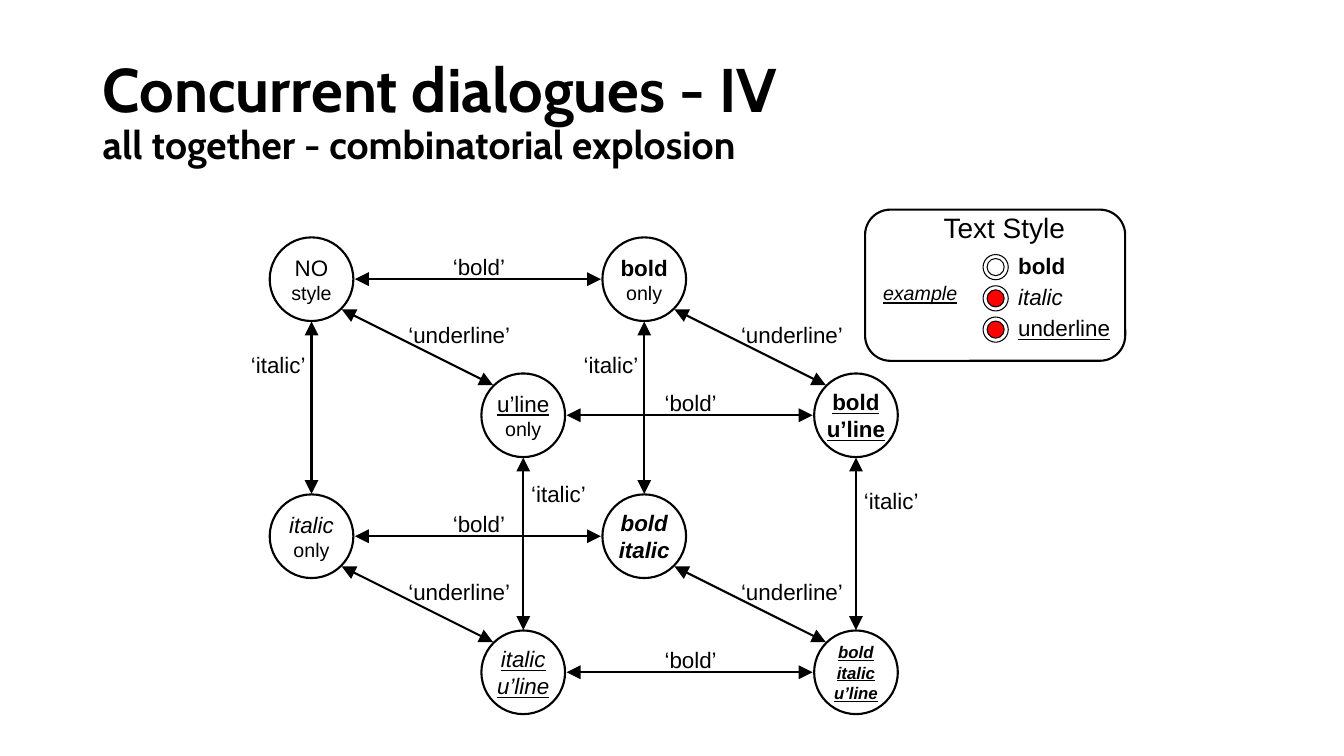
from itertools import product

from lxml.etree import SubElement
from pptx import Presentation
from pptx.dml.color import RGBColor
from pptx.enum.shapes import MSO_CONNECTOR, MSO_SHAPE
from pptx.enum.text import MSO_ANCHOR, MSO_AUTO_SIZE, PP_ALIGN
from pptx.oxml.ns import qn
from pptx.util import Inches, Pt

BLACK, WHITE, RED = "000000", "FFFFFF", "FF0000"


def color(value):
    return RGBColor.from_string(value)


def add_span(para, text, size=16, font="Arial", bold=False, italic=False, underline=False):
    span = para.add_run()
    span.text = text
    span.font.name = font
    span.font.size = Pt(size)
    span.font.bold = bold
    span.font.italic = italic
    span.font.underline = underline
    span.font.color.rgb = color(BLACK)


class Diagram:
    def __init__(self, page, ink=BLACK, weight=1.5):
        self.page = page
        self.ink = ink
        self.weight = weight

    def title(self, heading, subheading):
        box = self.page.shapes.add_textbox(Inches(0.92), Inches(0.4), Inches(11.5), Inches(1.45))
        frame = box.text_frame
        frame.word_wrap = True
        frame.vertical_anchor = MSO_ANCHOR.MIDDLE
        para = frame.paragraphs[0]
        para.line_spacing = 0.9
        add_span(para, heading, size=44, font="Cabin", bold=True)
        para.add_line_break()
        add_span(para, subheading, size=28, font="Cabin", bold=True)

    def label(self, text, left, top, width, height=0.37, align=PP_ALIGN.LEFT, **style):
        box = self.page.shapes.add_textbox(
            Inches(left), Inches(top), Inches(width), Inches(height))
        frame = box.text_frame
        frame.word_wrap = False
        frame.auto_size = MSO_AUTO_SIZE.SHAPE_TO_FIT_TEXT
        para = frame.paragraphs[0]
        para.alignment = align
        add_span(para, text, **style)

    def shape(self, kind, left, top, width, height, fill=WHITE, weight=None):
        shape = self.page.shapes.add_shape(
            kind, Inches(left), Inches(top), Inches(width), Inches(height))
        shape.shadow.inherit = False
        shape.fill.solid()
        shape.fill.fore_color.rgb = color(fill)
        shape.line.color.rgb = color(self.ink)
        shape.line.width = Pt(weight or self.weight)
        return shape

    def circle(self, x, y, diameter, **look):
        return self.shape(MSO_SHAPE.OVAL, x - diameter / 2, y - diameter / 2,
                          diameter, diameter, **look)

    def state(self, x, y, lines):
        frame = self.circle(x, y, 0.83).text_frame
        frame.word_wrap = False
        frame.vertical_anchor = MSO_ANCHOR.MIDDLE
        for index, (text, style) in enumerate(lines):
            para = frame.add_paragraph() if index else frame.paragraphs[0]
            para.alignment = PP_ALIGN.CENTER
            add_span(para, text, **style)

    def arrow(self, x1, y1, x2, y2):
        arrow = self.page.shapes.add_connector(
            MSO_CONNECTOR.STRAIGHT, Inches(x1), Inches(y1), Inches(x2), Inches(y2))
        arrow.line.color.rgb = color(self.ink)
        arrow.line.width = Pt(self.weight)
        for end in ("a:headEnd", "a:tailEnd"):
            SubElement(arrow.line._get_or_add_ln(), qn(end), type="triangle", w="lg", len="lg")
        SubElement(arrow._element.spPr, qn("a:effectLst"))


# Each style is one axis of the cube of states
STYLES = ("bold", "italic", "underline")
WORDS = {"bold": "bold", "italic": "italic", "underline": "u’line"}
STEPS = {"bold": (3.3, 0), "italic": (0, 2.55), "underline": (2.1, 1.35)}
# Distance from a state's centre to the arrow ends
GAPS = {"bold": (0.43, 0), "italic": (0, 0.42), "underline": (0.3, 0.3)}
# Label corner relative to the first state's centre, and label width
LABELS = {"bold": (1.3, -0.31, 0.72), "italic": (-0.7, 0.66, 0.74),
          "underline": (0.86, 0.37, 1.21)}
# Italic labels sit right of their arrow on the front face
FRONT_ITALIC = {False: (-0.02, 0.59, 0.74), True: (-0.02, 0.66, 0.74)}


def centre(styles):
    x = 3.09 + sum(STEPS[style][0] for style in styles)
    y = 2.77 + sum(STEPS[style][1] for style in styles)
    return x, y


def state_lines(styles):
    if not styles:
        return [("NO", {}), ("style", {"size": 14})]
    look = {style: True for style in styles}
    if len(styles) == 1:
        return [(WORDS[styles[0]], look), ("only", {"size": 14})]
    size = 16 if len(styles) == 2 else 12
    return [(WORDS[style], {"size": size, **look}) for style in styles]


def main():
    deck = Presentation()
    deck.slide_width = Inches(13.33)
    deck.slide_height = Inches(7.5)
    page = deck.slides.add_slide(deck.slide_layouts[6])
    diagram = Diagram(page)

    diagram.title("Concurrent dialogues - IV", "all together - combinatorial explosion")

    # States, with an arrow and label for every style still to be switched on
    for flags in product((False, True), repeat=len(STYLES)):
        styles = [style for style, on in zip(STYLES, flags) if on]
        x, y = centre(styles)
        diagram.state(x, y, state_lines(styles))
        for style in STYLES:
            if style in styles:
                continue
            end_x, end_y = centre(styles + [style])
            gap_x, gap_y = GAPS[style]
            diagram.arrow(x + gap_x, y + gap_y, end_x - gap_x, end_y - gap_y)
            dx, dy, width = LABELS[style]
            if style == "italic" and "underline" in styles:
                dx, dy, width = FRONT_ITALIC["bold" in styles]
            diagram.label(f"‘{style}’", x + dx, y + dy, width, align=PP_ALIGN.CENTER)

    # Text style panel
    panel = diagram.shape(MSO_SHAPE.ROUNDED_RECTANGLE, 8.58, 2.08, 2.58, 1.5)
    panel.adjustments[0] = 0.167
    diagram.label("Text Style", 9.26, 2.04, 1.44, 0.43, size=20)
    options = zip(STYLES, (WHITE, RED, RED), (0.67, 0.64, 1.13))
    for row, (style, fill, width) in enumerate(options):
        y = 2.65 + 0.31 * row
        diagram.circle(9.875, y, 0.25, weight=0.75)
        diagram.circle(9.875, y, 0.17, fill=fill, weight=0.75)
        diagram.label(style, 10, y - 0.2, width, **{style: True})
    diagram.label("example", 8.66, 2.74, 1, 0.33, size=14, italic=True, underline=True)

    deck.save("out.pptx")


if __name__ == "__main__":
    main()
